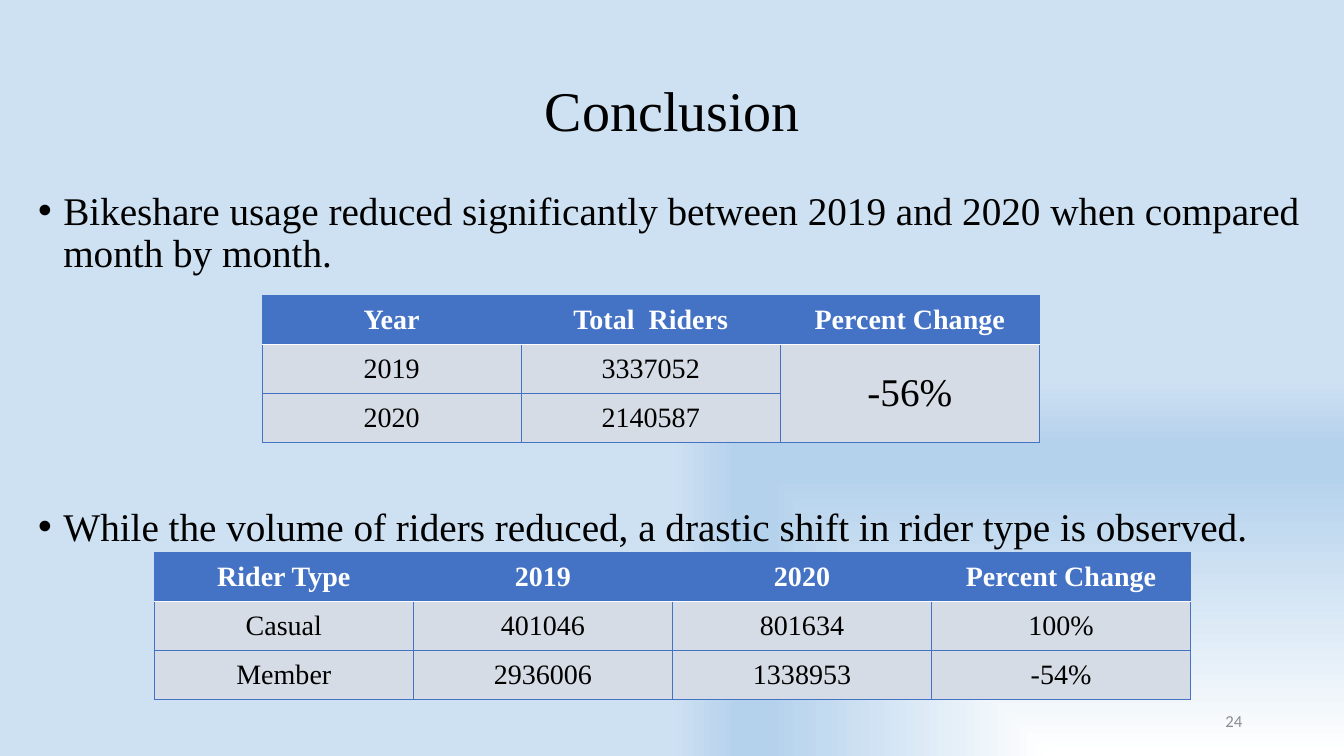
"""Build the conclusion slide on bikeshare usage with its two summary tables."""
from dataclasses import dataclass

from lxml import etree
from pptx import Presentation
from pptx.dml.color import RGBColor
from pptx.enum.text import MSO_ANCHOR, PP_ALIGN
from pptx.oxml import parse_xml
from pptx.oxml.ns import nsdecls, qn
from pptx.util import Inches, Pt

CENTER, RIGHT, LEFT = PP_ALIGN.CENTER, PP_ALIGN.RIGHT, PP_ALIGN.LEFT
MIDDLE = MSO_ANCHOR.MIDDLE
WIDTH, HEIGHT = Inches(13.33), Inches(7.5)
SERIF, SANS = "Times New Roman", "Calibri"
COLORS = {
    "ink": "000000",
    "white": "FFFFFF",
    "header": "4472C4",
    "cell": "D6DCE5",
    "number": "8C8C8C",
    "sky": "B5D2EC",
    "pale": "CEE1F2",
}
BACKDROP_STOPS = [(0, "white"), (74, "sky"), (83, "sky"), (100, "pale")]
COLUMN, ROW = 19.28, 6.5


@dataclass
class Area:
    """Place on the slide, in percent of its width and height."""
    left: float
    top: float
    width: float
    height: float

    def lengths(self) -> tuple[int, int, int, int]:
        """Return left, top, width and height as slide lengths."""
        return (int(WIDTH * self.left / 100), int(HEIGHT * self.top / 100),
                int(WIDTH * self.width / 100), int(HEIGHT * self.height / 100))


@dataclass
class Bullet:
    """One bulleted statement and the gap above it in points."""
    text: str
    gap: float


@dataclass
class Summary:
    """A table with a header row; None continues the cell above."""
    left: float
    top: float
    rows: list[list[str | None]]


TITLE_AREA = Area(6.9, 5.33, 86.27, 19.33)
BODY_AREA = Area(2.1, 24.67, 95.87, 72.4)
NUMBER_AREA = Area(70.67, 92.67, 22.5, 5.33)
BULLETS = [
    Bullet("Bikeshare usage reduced significantly between 2019 and 2020 "
           "when compared month by month.", 0),
    Bullet("While the volume of riders reduced, a drastic shift in rider type "
           "is observed.", 165),
]
SUMMARIES = [
    Summary(11.48, 73.07, [
        ["Rider Type", "2019", "2020", "Percent Change"],
        ["Casual", "401046", "801634", "100%"],
        ["Member", "2936006", "1338953", "-54%"],
    ]),
    Summary(19.5, 39.07, [
        ["Year", "Total  Riders", "Percent Change"],
        ["2019", "3337052", "-56%"],
        ["2020", "2140587", None],
    ]),
]


def style(para, size: float, color: str, align, name: str = SERIF, bold: bool = False) -> None:
    """Set the font and alignment of a paragraph."""
    para.alignment = align
    font = para.font
    font.name, font.size, font.bold = name, Pt(size), bold
    font.color.rgb = RGBColor.from_string(COLORS[color])


def paint_backdrop(page) -> None:
    """Fill the background with a gradient spreading from the lower right corner."""
    page.background.fill.solid()
    stops = "".join(f'<a:gs pos="{share * 1000}"><a:srgbClr val="{COLORS[color]}"/></a:gs>'
                    for share, color in BACKDROP_STOPS)
    gradient = parse_xml(
        f'<a:gradFill {nsdecls("a")} rotWithShape="1"><a:gsLst>{stops}</a:gsLst>'
        '<a:path path="rect"><a:fillToRect l="100000" t="100000"/></a:path></a:gradFill>')
    solid = page.element.find(".//" + qn("p:bgPr")).find(qn("a:solidFill"))
    solid.getparent().replace(solid, gradient)


def add_title(page, text: str) -> None:
    """Place the title in its placeholder."""
    title = page.shapes.title
    title.left, title.top, title.width, title.height = TITLE_AREA.lengths()
    title.text_frame.text = text
    title.text_frame.vertical_anchor = MIDDLE
    para = title.text_frame.paragraphs[0]
    para.line_spacing = 0.9
    style(para, 40, "ink", CENTER)


def add_bullets(page) -> None:
    """Write the bulleted statements."""
    frame = page.shapes.add_textbox(*BODY_AREA.lengths()).text_frame
    frame.word_wrap = True
    for index, bullet in enumerate(BULLETS):
        para = frame.add_paragraph() if index else frame.paragraphs[0]
        para.text = bullet.text
        para.line_spacing = 0.9
        para.space_before = Pt(bullet.gap)
        properties = para._p.get_or_add_pPr()
        properties.set("marL", str(Inches(0.25)))
        properties.set("indent", str(Inches(-0.25)))
        etree.SubElement(properties, qn("a:buFont")).set("typeface", "Arial")
        etree.SubElement(properties, qn("a:buChar")).set("char", "•")
        style(para, 28, "ink", LEFT)


def add_borders(cell, row: int) -> None:
    """Draw thin cell borders, with a white rule below the header."""
    white_side = {0: "B", 1: "T"}.get(row)
    for side in "LRTB":
        color, width = ("white", 1) if side == white_side else ("header", 0.5)
        cell._tc.get_or_add_tcPr().append(parse_xml(
            f'<a:ln{side} {nsdecls("a")} w="{Pt(width)}"><a:solidFill>'
            f'<a:srgbClr val="{COLORS[color]}"/></a:solidFill></a:ln{side}>'))


def add_summary(page, summary: Summary) -> None:
    """Add one summary table."""
    rows, columns = len(summary.rows), len(summary.rows[0])
    area = Area(summary.left, summary.top, columns * COLUMN, rows * ROW)
    table = page.shapes.add_table(rows, columns, *area.lengths()).table
    table.horz_banding = False
    for row, values in enumerate(summary.rows):
        for column, value in enumerate(values):
            cell = table.cell(row, column)
            header = row == 0
            add_borders(cell, row)
            cell.fill.solid()
            cell.fill.fore_color.rgb = RGBColor.from_string(COLORS["header" if header else "cell"])
            cell.vertical_anchor = MIDDLE
            if value is None:
                above = table.cell(row - 1, column)
                above.merge(cell)
                above.text_frame.paragraphs[0].font.size = Pt(28)
                continue
            cell.text = value
            style(cell.text_frame.paragraphs[0], 20, "white" if header else "ink",
                  CENTER, bold=header)


def add_number(page, text: str) -> None:
    """Write the slide number."""
    frame = page.shapes.add_textbox(*NUMBER_AREA.lengths()).text_frame
    frame.word_wrap = True
    frame.vertical_anchor = MIDDLE
    frame.text = text
    style(frame.paragraphs[0], 12, "number", RIGHT, SANS)


def main() -> None:
    """Build and save the deck."""
    deck = Presentation()
    deck.slide_width, deck.slide_height = WIDTH, HEIGHT
    page = deck.slides.add_slide(deck.slide_layouts[5])
    paint_backdrop(page)
    add_title(page, "Conclusion")
    add_bullets(page)
    for summary in SUMMARIES:
        add_summary(page, summary)
    add_number(page, "24")
    deck.save("out.pptx")


if __name__ == "__main__":
    main()
